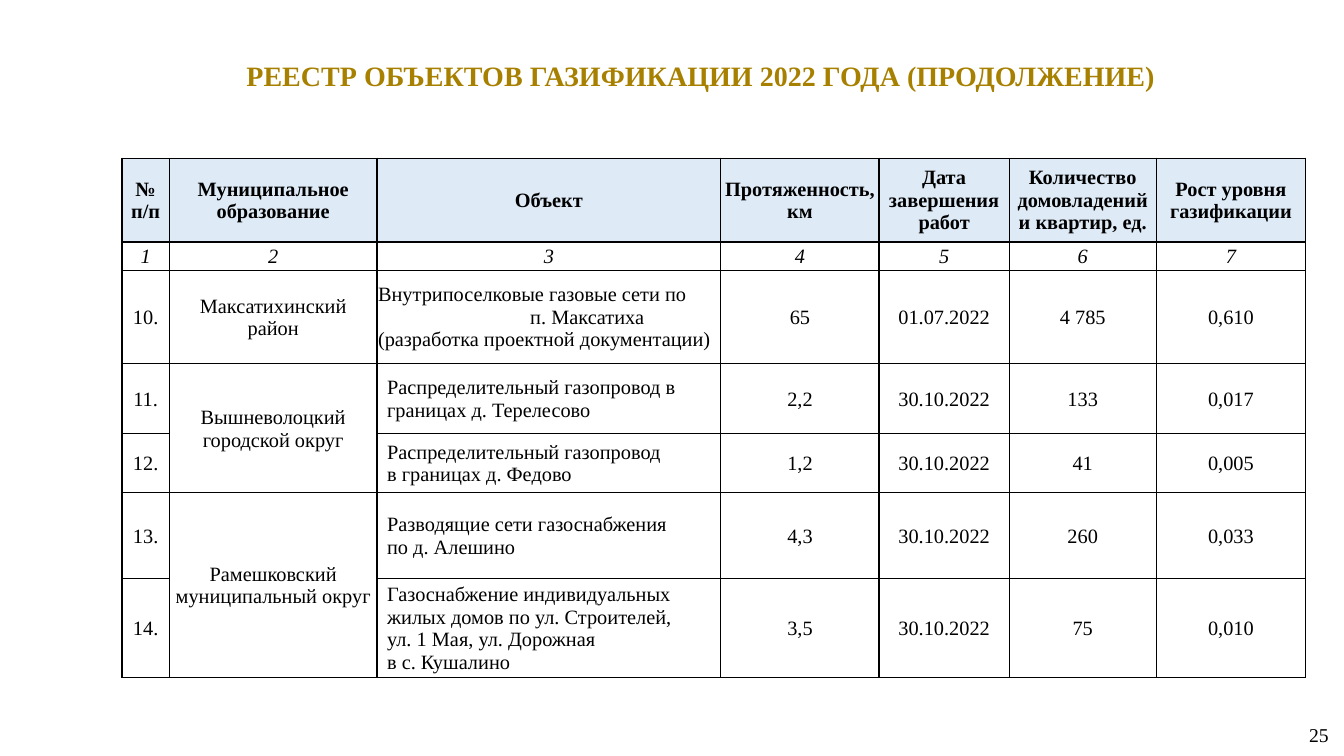
from lxml.etree import SubElement
from pptx import Presentation
from pptx.dml.color import RGBColor
from pptx.enum.text import MSO_ANCHOR, MSO_AUTO_SIZE, PP_ALIGN
from pptx.oxml.ns import qn
from pptx.util import Inches, Pt

COLORS = {"title": "A88000", "text": "000000", "border": "000000", "header": "DEEBF7"}
FONT = "Times New Roman"
WIDTH, HEIGHT = Inches(13.33), Inches(7.5)
COLUMNS = [0.47, 2.06, 3.41, 1.57, 1.29, 1.46, 1.48]
ROWS = [0.83, 0.28, 0.93, 0.69, 0.59, 0.85, 0.98]
OBJECT_COLUMN = 2
REGISTRY = [
    ["№ п/п", "Муниципальное образование", "Объект", "Протяженность,\nкм",
     "Дата завершения работ", "Количество домовладений и квартир, ед.",
     "Рост уровня газификации"],
    [str(number) for number in range(1, 8)],
    ["10.", "Максатихинский\nрайон",
     "Внутрипоселковые газовые сети по\nп. Максатиха\n(разработка проектной документации)",
     "65", "01.07.2022", "4 785", "0,610"],
    ["11.", "Вышневолоцкий городской округ",
     "Распределительный газопровод в границах д. Терелесово",
     "2,2", "30.10.2022", "133", "0,017"],
    ["12.", "", "Распределительный газопровод\nв границах д. Федово",
     "1,2", "30.10.2022", "41", "0,005"],
    ["13.", "Рамешковский муниципальный округ",
     "Разводящие сети газоснабжения\nпо д. Алешино",
     "4,3", "30.10.2022", "260", "0,033"],
    ["14.", "", "Газоснабжение индивидуальных\nжилых домов по ул. Строителей,\n"
     "ул. 1 Мая, ул. Дорожная\nв с. Кушалино",
     "3,5", "30.10.2022", "75", "0,010"],
]


def format_paragraph(paragraph, size, color, alignment, bold=False, italic=False):
    paragraph.alignment = alignment
    font = paragraph.font
    font.name, font.size = FONT, Pt(size)
    font.bold, font.italic = bold, italic
    font.color.rgb = RGBColor.from_string(COLORS[color])


def place(shape, left, top, width, height):
    shape.left, shape.top = int(WIDTH * left), int(HEIGHT * top)
    shape.width, shape.height = int(WIDTH * width), int(HEIGHT * height)


def add_title(slide, text):
    title = slide.shapes.title
    place(title, 0.1035, 0.07, 0.8355, 0.058)
    frame = title.text_frame
    frame.text = text
    frame.word_wrap = True
    frame.auto_size = MSO_AUTO_SIZE.NONE
    frame.vertical_anchor = MSO_ANCHOR.MIDDLE
    format_paragraph(frame.paragraphs[0], 20, "title", PP_ALIGN.CENTER, bold=True)


def add_page_number(slide, text):
    box = slide.shapes.add_textbox(0, 0, 0, 0)
    place(box, 0.793, 0.931, 0.203, 0.081)
    frame = box.text_frame
    frame.text = text
    frame.word_wrap = True
    frame.vertical_anchor = MSO_ANCHOR.MIDDLE
    format_paragraph(frame.paragraphs[0], 14, "text", PP_ALIGN.RIGHT)


def add_borders(cell):
    properties = cell._tc.get_or_add_tcPr()
    for side in ("a:lnL", "a:lnR", "a:lnT", "a:lnB"):
        line = SubElement(properties, qn(side), w=str(Pt(1)))
        fill = SubElement(line, qn("a:solidFill"))
        SubElement(fill, qn("a:srgbClr"), val=COLORS["border"])


def fill_cell(cell, text, row, column):
    add_borders(cell)
    if row == 0:
        cell.fill.solid()
        cell.fill.fore_color.rgb = RGBColor.from_string(COLORS["header"])
    else:
        cell.fill.background()
    is_object = column == OBJECT_COLUMN and row > 1
    cell.margin_left = Inches(0.1 if is_object and row > 2 else 0.01)
    cell.margin_right = cell.margin_top = Inches(0.01)
    cell.margin_bottom = 0
    cell.vertical_anchor = MSO_ANCHOR.MIDDLE
    cell.text = text
    alignment = PP_ALIGN.LEFT if is_object else PP_ALIGN.CENTER
    for paragraph in cell.text_frame.paragraphs:
        format_paragraph(paragraph, 14.5, "text", alignment, row == 0, row == 1)


def add_registry(slide):
    frame = slide.shapes.add_table(
        len(ROWS), len(COLUMNS), Inches(1.21), Inches(1.57),
        Inches(sum(COLUMNS)), Inches(sum(ROWS)))
    table = frame.table
    table.first_row = table.horz_banding = False
    for column, width in zip(table.columns, COLUMNS):
        column.width = Inches(width)
    for row, height in zip(table.rows, ROWS):
        row.height = Inches(height)
    for row, texts in enumerate(REGISTRY):
        for column, text in enumerate(texts):
            fill_cell(table.cell(row, column), text, row, column)
    for row in (3, 5):
        table.cell(row, 1).merge(table.cell(row + 1, 1))
    village = table.cell(2, OBJECT_COLUMN).text_frame.paragraphs[1]
    village._p.get_or_add_pPr().set("marL", str(Inches(1.51)))


def main():
    presentation = Presentation()
    presentation.slide_width, presentation.slide_height = WIDTH, HEIGHT
    slide = presentation.slides.add_slide(presentation.slide_layouts[5])
    add_title(slide, "РЕЕСТР ОБЪЕКТОВ ГАЗИФИКАЦИИ 2022 ГОДА (ПРОДОЛЖЕНИЕ)")
    add_registry(slide)
    add_page_number(slide, "25")
    presentation.save("out.pptx")


if __name__ == "__main__":
    main()
